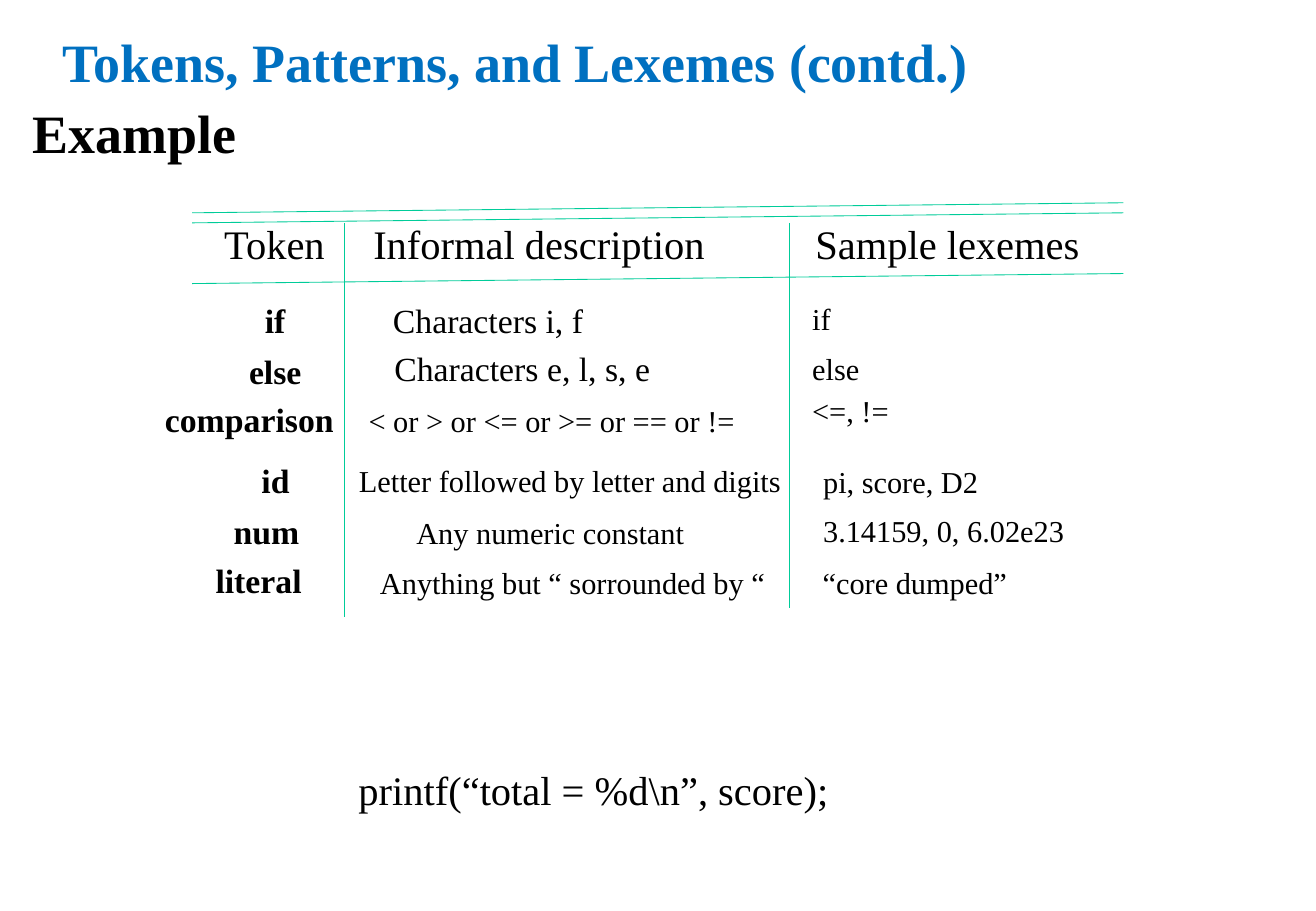
from lxml import etree
from pptx import Presentation
from pptx.dml.color import RGBColor
from pptx.enum.shapes import MSO_CONNECTOR
from pptx.enum.text import MSO_ANCHOR
from pptx.oxml.ns import qn
from pptx.util import Cm, Pt

STRAIGHT = MSO_CONNECTOR.STRAIGHT
TOP = MSO_ANCHOR.TOP
MIDDLE = MSO_ANCHOR.MIDDLE

FONT = "Times New Roman"
COLORS = {"heading": "0070C0", "text": "000000", "rule": "00CC99"}
LINE_HEIGHT = {24: 1.27, 20: 1.12, 18: 1.02}  # cm, by text size
SLACK = 0.25  # cm of spare width that keeps each label on one line

# Offsets from the table's corner, in cm: text, left, top, width
HEADERS = [
    ("Token", 0.42, 0.21, 2.67),
    ("Informal description", 3.54, 0.21, 7.44),
    ("Sample lexemes", 12.79, 0.21, 6.02),
]
TOKENS = [
    ("if", 1.27, 1.91, 0.94),
    ("else", 0.94, 2.96, 1.6),
    ("comparison", -0.82, 3.98, 4.04),
    ("id", 1.2, 5.24, 1.09),
    ("num", 0.62, 6.31, 1.88),
    ("literal", 0.24, 7.35, 2.31),
]
KEYWORD_DESCRIPTIONS = [
    ("Characters i, f", 3.95, 1.91, 4.5),
    ("Characters e, l, s, e", 3.98, 2.9, 5.87),
]
DESCRIPTIONS = [
    ("< or > or <= or >= or == or !=", 3.44, 4.04, 8.18),
    ("Letter followed by letter and digits", 3.24, 5.29, 9.35),
    ("Any numeric constant", 4.44, 6.38, 6.12),
    ("Anything but “ sorrounded by “", 3.68, 7.44, 8.56),
]
LEXEMES = [
    ("if", 12.72, 1.91, 0.89),
    ("else", 12.72, 2.95, 1.5),
    ("<=, !=", 12.72, 3.84, 2.11),
    ("pi, score, D2", 12.95, 5.32, 3.76),
    ("3.14159, 0, 6.02e23", 12.95, 6.35, 5.54),
    ("“core dumped”", 12.94, 7.44, 4.37),
]


def add_text(slide, text, left, top, width, height, size,
             color="text", bold=False, anchor=TOP):
    box = slide.shapes.add_textbox(Cm(left), Cm(top), Cm(width), Cm(height))
    frame = box.text_frame
    frame.word_wrap = True
    frame.vertical_anchor = anchor
    frame.text = text
    font = frame.paragraphs[0].runs[0].font
    font.name, font.size, font.bold = FONT, Pt(size), bold
    font.color.rgb = RGBColor.from_string(COLORS[color])


def add_label(slide, text, left, top, width, size, bold=False):
    add_text(slide, text, left, top, width + SLACK, LINE_HEIGHT[size], size, bold=bold)


def add_rule(slide, x1, y1, x2, y2):
    rule = slide.shapes.add_connector(STRAIGHT, Cm(x1), Cm(y1), Cm(x2), Cm(y2))
    rule.line.color.rgb = RGBColor.from_string(COLORS["rule"])
    rule.line.width = Pt(0.5)
    properties = rule.element.find(qn("p:spPr"))
    etree.SubElement(properties, qn("a:effectLst"))


def add_headings(slide, left, top, width):
    add_text(slide, "Tokens, Patterns, and Lexemes (contd.)", left + 0.63, top,
             width, 1.7, 32, "heading", True, MIDDLE)
    add_text(slide, "Example", left, top + 1.7, width, 1.27, 32, "text", True, MIDDLE)


def add_token_table(slide, left, top, width, height):
    # Slightly rising rules around the header row
    for rise_end in (0, 0.21, 1.48):
        add_rule(slide, left, top + rise_end + 0.21, left + width, top + rise_end)
    # Column dividers
    for x, bottom in ((3.18, height), (12.49, height - 0.2)):
        add_rule(slide, left + x, top + 0.42, left + x, top + bottom)
    # Header row and columns
    for entries, size, bold in (
        (HEADERS, 24, False),
        (TOKENS, 20, True),
        (KEYWORD_DESCRIPTIONS, 20, False),
        (DESCRIPTIONS, 18, False),
        (LEXEMES, 18, False),
    ):
        for text, x, y, text_width in entries:
            add_label(slide, text, left + x, top + y, text_width, size, bold)


def main():
    deck = Presentation()
    deck.slide_width, deck.slide_height = Cm(27.53), Cm(19.05)
    slide = deck.slides.add_slide(deck.slide_layouts[6])

    # Headings
    add_headings(slide, 0.43, 0.43, 26.04)

    # Token table and the statement it describes
    add_token_table(slide, 4.02, 4.24, 19.48, 8.67)
    add_label(slide, "printf(“total = %d\\n”, score);", 7.25, 15.88, 10.34, 24)

    deck.save("out.pptx")


if __name__ == "__main__":
    main()
